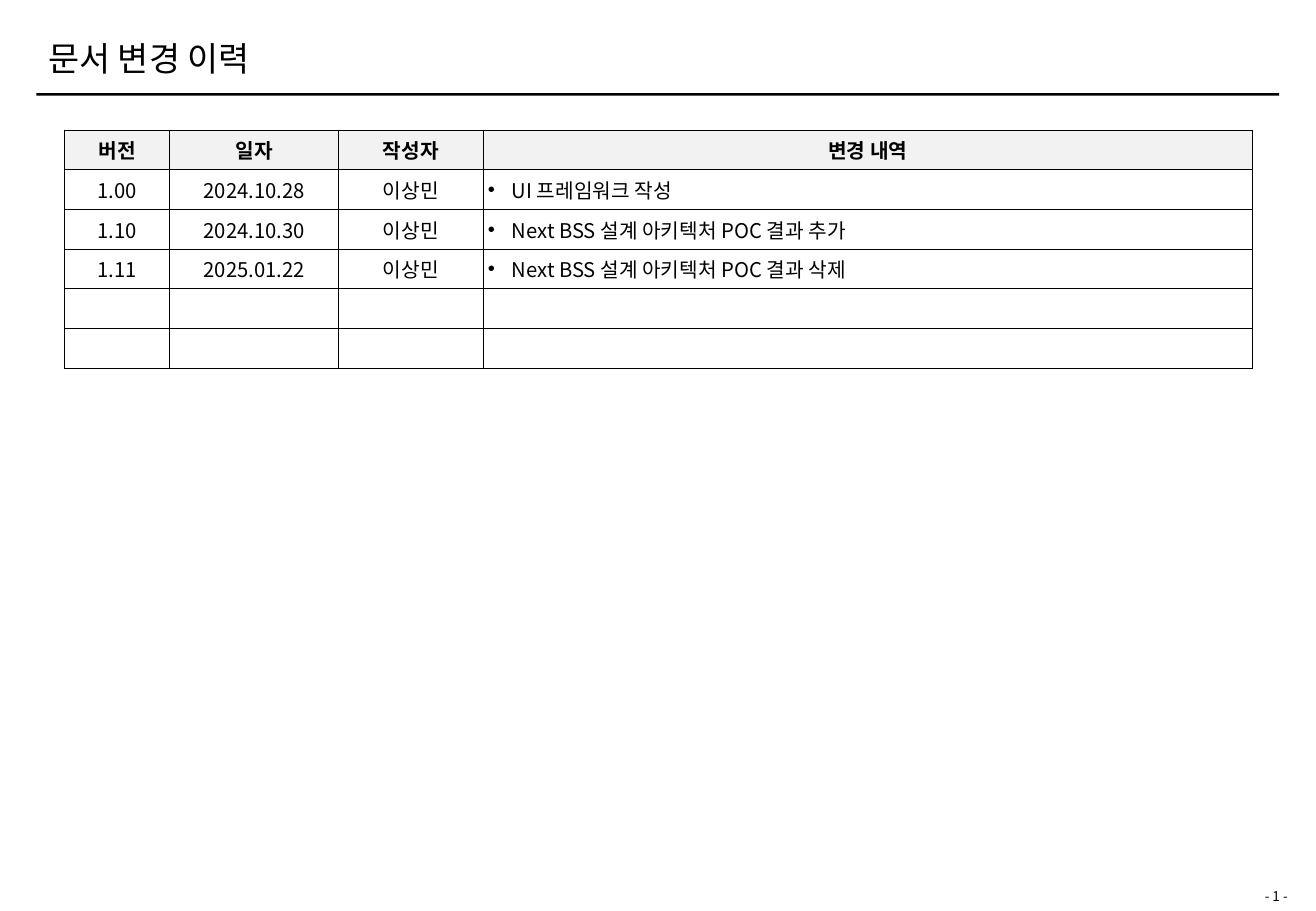
"""Build the document change history slide."""
from lxml.etree import SubElement
from pptx import Presentation
from pptx.dml.color import RGBColor
from pptx.enum.shapes import MSO_SHAPE
from pptx.enum.text import MSO_ANCHOR, PP_ALIGN
from pptx.oxml.ns import qn
from pptx.util import Cm, Pt

FONT = "Noto Sans CJK KR"
HEAD = ["버전", "일자", "작성자", "변경 내역"]
ROWS = [
    ["1.00", "2024.10.28", "이상민", "UI 프레임워크 작성"],
    ["1.10", "2024.10.30", "이상민", "Next BSS 설계 아키텍처 POC 결과 추가"],
    ["1.11", "2025.01.22", "이상민", "Next BSS 설계 아키텍처 POC 결과 삭제"],
    [""] * 4,
    [""] * 4,
]
WIDTHS = [2.2, 3.53, 3.02, 16.08]
HEIGHT = 0.83


def color(code):
    """Turn a hex string into a colour."""
    return RGBColor.from_string(code)


def style(par, size, bold=False, align=PP_ALIGN.LEFT):
    """Set the font and alignment of a paragraph."""
    par.alignment = align
    font = par.font
    font.name, font.size, font.bold = FONT, Pt(size), bold
    font.color.rgb = color("000000")
    SubElement(font._element, qn("a:ea"), typeface=FONT)
    if not par.text:
        SubElement(par._p, qn("a:endParaRPr"), sz=str(size * 100))


def bullet(par):
    """Give a paragraph a hanging bullet."""
    props = par._p.get_or_add_pPr()
    props.set("marL", str(Cm(0.5)))
    props.set("indent", str(-Cm(0.5)))
    SubElement(props, qn("a:buFont"), typeface="Arial")
    SubElement(props, qn("a:buChar"), char="•")


def border(cell):
    """Draw a thin black line on each side of a cell."""
    props = cell._tc.get_or_add_tcPr()
    for side in "LRTB":
        line = SubElement(props, qn(f"a:ln{side}"), w=str(Pt(0.5)))
        fill = SubElement(line, qn("a:solidFill"))
        SubElement(fill, qn("a:srgbClr"), val="000000")


def add_text(slide, text, box, size, anchor, align):
    """Add a text box and return its paragraph."""
    frame = slide.shapes.add_textbox(*map(Cm, box)).text_frame
    frame.word_wrap = True
    frame.vertical_anchor = anchor
    par = frame.paragraphs[0]
    par.text = text
    style(par, size, align=align)
    return par


def add_rule(slide, box):
    """Add the black bar under the title."""
    bar = slide.shapes.add_shape(MSO_SHAPE.RECTANGLE, *map(Cm, box))
    bar.shadow.inherit = False
    bar.fill.solid()
    bar.fill.fore_color.rgb = color("000000")
    bar.line.fill.background()


def fill_cell(cell, text, head, listed):
    """Write and format one table cell."""
    cell.margin_left = cell.margin_right = Cm(0.1)
    cell.margin_top = cell.margin_bottom = Cm(0.1)
    cell.vertical_anchor = MSO_ANCHOR.MIDDLE
    border(cell)
    if head:
        cell.fill.solid()
        cell.fill.fore_color.rgb = color("F2F2F2")
    else:
        cell.fill.background()
    par = cell.text_frame.paragraphs[0]
    par.text = text
    if listed and text:
        bullet(par)
    style(par, 12, head, PP_ALIGN.LEFT if listed else PP_ALIGN.CENTER)


def add_log(slide, left, top):
    """Add the table of changes."""
    data = [HEAD] + ROWS
    size = sum(WIDTHS), HEIGHT * len(data)
    table = slide.shapes.add_table(
        len(data), len(HEAD), *map(Cm, (left, top, *size))).table
    table.first_row = table.horz_banding = False
    for col, width in zip(table.columns, WIDTHS):
        col.width = Cm(width)
    for i, texts in enumerate(data):
        table.rows[i].height = Cm(HEIGHT)
        for j, text in enumerate(texts):
            head = i == 0
            listed = not head and j == len(HEAD) - 1
            fill_cell(table.cell(i, j), text, head, listed)


def main():
    """Build and save the slide."""
    deck = Presentation()
    deck.slide_width, deck.slide_height = Cm(27.51), Cm(19.05)
    slide = deck.slides.add_slide(deck.slide_layouts[6])
    add_rule(slide, (0.76, 1.95, 25.98, 0.05))
    add_text(slide, "- 1 -", (25.83, 18.44, 1.7, 0.61), 8,
             MSO_ANCHOR.TOP, PP_ALIGN.CENTER)
    title = add_text(slide, "문서 변경 이력", (0.76, 0.79, 18.52, 0.99), 20,
                     MSO_ANCHOR.BOTTOM, PP_ALIGN.LEFT)
    title.line_spacing = 0.9
    add_log(slide, 1.35, 2.72)
    deck.save("out.pptx")


if __name__ == "__main__":
    main()
